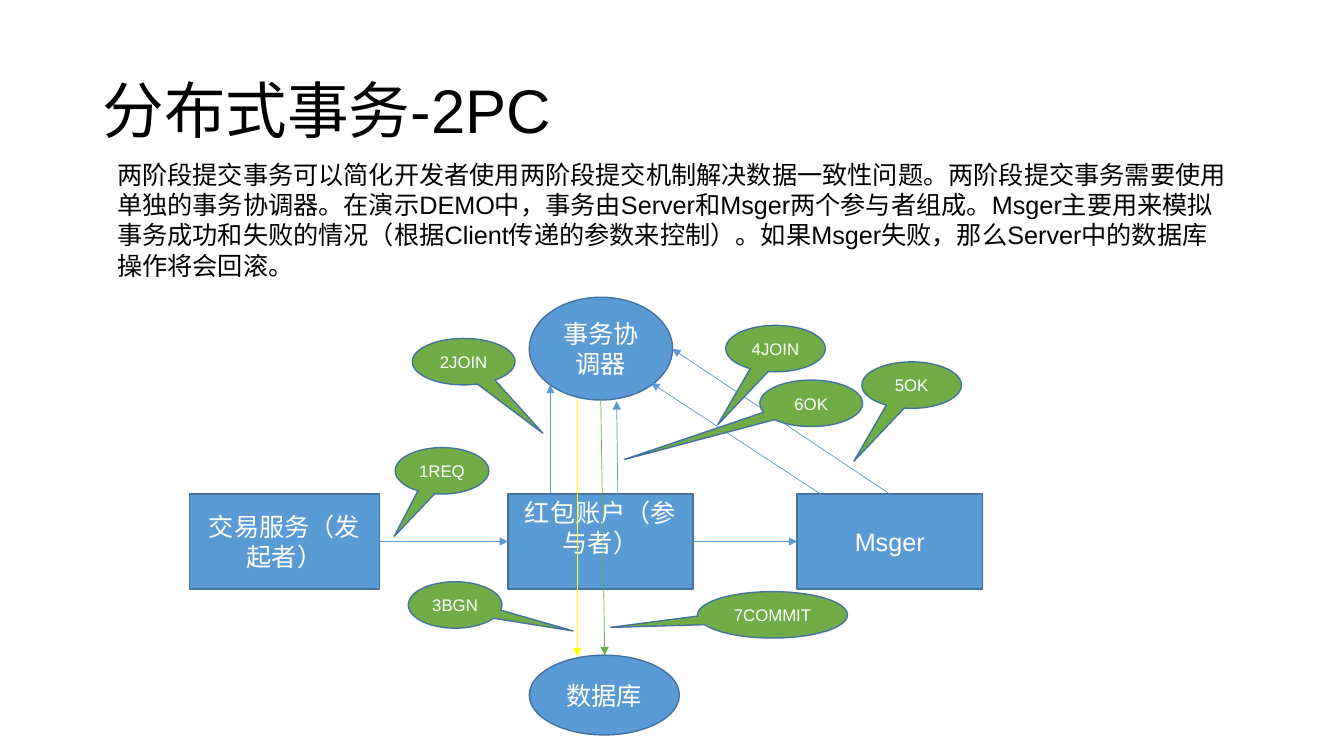
from lxml import etree
from pptx import Presentation
from pptx import util as u
from pptx.dml.color import RGBColor
from pptx.enum import shapes, text
from pptx.oxml.ns import qn

COLORS = {
    "black": "000000",
    "white": "FFFFFF",
    "blue": "5B9BD5",
    "outline": "43739E",
    "green": "70AD47",
    "yellow": "FFFF00",
}
DESCRIPTION = (
    "两阶段提交事务可以简化开发者使用两阶段提交机制解决数据一致性问题。"
    "两阶段提交事务需要使用单独的事务协调器。"
    "在演示DEMO中，事务由Server和Msger两个参与者组成。"
    "Msger主要用来模拟事务成功和失败的情况（根据Client传递的参数来控制）。"
    "如果Msger失败，那么Server中的数据库操作将会回滚。"
)
BOX_TOP, BOX_HEIGHT = 12.45, 2.39
CALLOUT_HEIGHT = 1.17

# label, left, top, width, pointer adjustments
CALLOUTS = [
    ("1REQ", 9.96, 11.28, 2.36, (-0.51, 1.41)),
    ("2JOIN", 10.39, 8.53, 2.59, (0.77, 1.54)),
    ("3BGN", 10.29, 14.66, 2.36, (1.26, 0.56)),
    ("4JOIN", 18.29, 8.2, 2.51, (-0.58, 1.64)),
    ("5OK", 21.72, 9.12, 2.51, (-0.58, 1.64)),
    ("6OK", 19.15, 9.58, 2.59, (-1.82, 1.21)),
    ("7COMMIT", 17.58, 14.91, 3.78, (-1.08, 0.27)),
]


def rgb(name):
    return RGBColor.from_string(COLORS[name])


def write(shape, content, size=18, color="white", align=text.PP_ALIGN.CENTER,
          anchor=text.MSO_ANCHOR.MIDDLE, spacing=None):
    frame = shape.text_frame
    frame.word_wrap = True
    frame.vertical_anchor = anchor
    paragraph = frame.paragraphs[0]
    paragraph.alignment = align
    paragraph.line_spacing = spacing
    run = paragraph.add_run()
    run.text = content
    run.font.name = "Arial"
    run.font.size = u.Pt(size)
    run.font.color.rgb = rgb(color)


def add_node(slide, kind, content, left, top, width, height, fill="blue", size=18):
    shape = slide.shapes.add_shape(
        kind, u.Cm(left), u.Cm(top), u.Cm(width), u.Cm(height))
    shape.shadow.inherit = False
    shape.fill.solid()
    shape.fill.fore_color.rgb = rgb(fill)
    shape.line.color.rgb = rgb("outline")
    shape.line.width = u.Pt(1)
    write(shape, content, size=size)
    return shape


def add_box(slide, content, left, width):
    return add_node(slide, shapes.MSO_SHAPE.RECTANGLE, content,
                    left, BOX_TOP, width, BOX_HEIGHT)


def add_callout(slide, content, left, top, width, pointer):
    callout = add_node(slide, shapes.MSO_SHAPE.OVAL_CALLOUT, content,
                       left, top, width, CALLOUT_HEIGHT, fill="green", size=12)
    callout.adjustments[0], callout.adjustments[1] = pointer


def add_arrow(slide, start=(0, 0), end=(0, 0), color="blue", source=None, target=None):
    """Draw an arrow; source and target are (shape, side) pairs to join."""
    arrow = slide.shapes.add_connector(
        shapes.MSO_CONNECTOR.STRAIGHT, *(u.Cm(value) for value in (*start, *end)))
    if source:
        arrow.begin_connect(*source)
    if target:
        arrow.end_connect(*target)
    arrow.line.color.rgb = rgb(color)
    arrow.line.width = u.Pt(0.5)
    etree.SubElement(arrow.line._get_or_add_ln(), qn("a:tailEnd"), type="triangle")
    etree.SubElement(arrow._element.spPr, qn("a:effectLst"))


def add_heading(slide):
    title = slide.shapes.title
    title.left, title.top = u.Cm(2.33), u.Cm(1.01)
    title.width, title.height = u.Cm(29.21), u.Cm(3.68)
    write(title, "分布式事务-2PC", size=44, color="black",
          align=text.PP_ALIGN.LEFT, spacing=0.9)
    description = slide.shapes.add_textbox(
        u.Cm(2.7), u.Cm(3.89), u.Cm(28.5), u.Cm(4.88))
    write(description, DESCRIPTION, color="black",
          align=text.PP_ALIGN.LEFT, anchor=text.MSO_ANCHOR.TOP)


def add_diagram(slide):
    oval = shapes.MSO_SHAPE.OVAL
    add_node(slide, oval, "事务协调器", 13.34, 7.49, 3.61, 2.59)
    service = add_box(slide, "交易服务（发起者）", 4.78, 4.78)
    account = add_box(slide, "红包账户（参与者）", 12.8, 4.67)
    account.text_frame.margin_top = 0
    account.text_frame.margin_bottom = u.Cm(0.71)
    messenger = add_box(slide, "Msger", 20.09, 4.67)
    add_node(slide, oval, "数据库", 13.34, 16.51, 3.78, 2.01)

    add_arrow(slide, source=(service, 3), target=(account, 1))
    add_arrow(slide, source=(account, 3), target=(messenger, 1))
    add_arrow(slide, (13.87, BOX_TOP), (13.87, 9.7))
    add_arrow(slide, (15.57, 12.55), (15.54, 10.11))
    add_arrow(slide, (20.68, BOX_TOP), (16.41, 9.65))
    add_arrow(slide, end=(16.94, 8.79), source=(messenger, 0))
    add_arrow(slide, (14.55, 10.08), (14.55, 16.54), "yellow")
    add_arrow(slide, (15.14, 10.08), (15.24, 16.51), "green")

    for callout in CALLOUTS:
        add_callout(slide, *callout)


def main():
    presentation = Presentation()
    presentation.slide_width, presentation.slide_height = u.Cm(33.87), u.Cm(19.05)
    slide = presentation.slides.add_slide(presentation.slide_layouts[5])
    add_heading(slide)
    add_diagram(slide)
    presentation.save("out.pptx")


if __name__ == "__main__":
    main()
